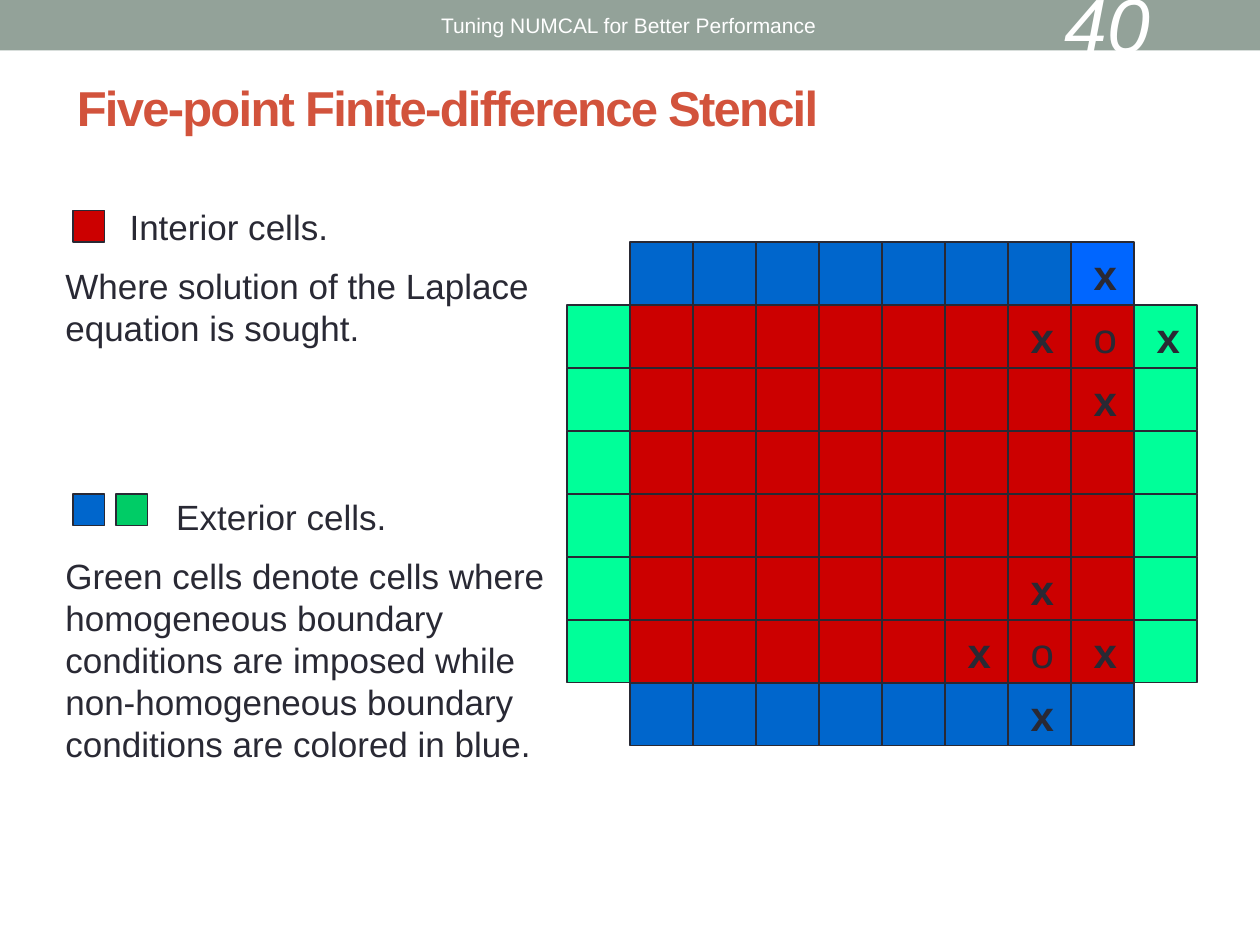
from dataclasses import dataclass

from pptx import Presentation
from pptx.dml.color import RGBColor
from pptx.enum.shapes import MSO_SHAPE
from pptx.enum.text import MSO_ANCHOR, PP_ALIGN
from pptx.util import Inches, Pt

RECT = MSO_SHAPE.RECTANGLE
TOP, MIDDLE = MSO_ANCHOR.TOP, MSO_ANCHOR.MIDDLE
LEFT, CENTER = PP_ALIGN.LEFT, PP_ALIGN.CENTER


@dataclass(frozen=True)
class Theme:
    face: str = "Arial"
    ink: str = "292934"
    white: str = "FFFFFF"
    band: str = "93A299"
    title: str = "D2533C"
    red: str = "CC0000"
    blue: str = "0066CC"
    bright: str = "0066FF"
    mint: str = "00FF99"
    green: str = "00CC66"
    head: int = 28
    page: int = 44
    mark: int = 24
    body: int = 20
    small: int = 12
    edge: float = 0.75


THEME = Theme()

ROWS, COLS = 8, 10
MARKS = {
    (0, 8): "x", (1, 7): "x", (1, 8): "o", (1, 9): "x", (2, 8): "x",
    (5, 7): "x", (6, 6): "x", (6, 7): "o", (6, 8): "x", (7, 7): "x",
}


def style(para, size, color, bold=False, italic=False):
    font = para.font
    font.name, font.size = THEME.face, Pt(size)
    font.bold, font.italic = bold, italic
    font.color.rgb = RGBColor.from_string(color)


def add_rect(slide, left, top, width, height, fill, edge=True):
    rect = slide.shapes.add_shape(
        RECT, Inches(left), Inches(top), Inches(width), Inches(height))
    rect.shadow.inherit = False
    rect.fill.solid()
    rect.fill.fore_color.rgb = RGBColor.from_string(fill)
    if edge:
        rect.line.color.rgb = RGBColor.from_string(THEME.ink)
        rect.line.width = Pt(THEME.edge)
    else:
        rect.line.fill.background()
    return rect


def add_text(slide, left, top, width, height, anchor=TOP):
    box = slide.shapes.add_textbox(
        Inches(left), Inches(top), Inches(width), Inches(height))
    frame = box.text_frame
    frame.word_wrap = True
    frame.vertical_anchor = anchor
    return frame


def add_band(slide, left, top, width, height):
    add_rect(slide, left, top, width, height, THEME.band, edge=False)
    label = add_text(slide, left + 2.74, top + 0.02, 4.5, 0.36, MIDDLE)
    para = label.paragraphs[0]
    para.text = "Tuning NUMCAL for Better Performance"
    para.alignment = CENTER
    style(para, THEME.small, THEME.white)
    page = add_text(slide, left + 8.35, top, 1.17, 0.36, MIDDLE)
    para = page.paragraphs[0]
    para.text = "40"
    style(para, THEME.page, THEME.white, italic=True)


def set_title(slide, left, top, width, height):
    title = slide.shapes.title
    title.left, title.top = Inches(left), Inches(top)
    title.width, title.height = Inches(width), Inches(height)
    frame = title.text_frame
    frame.vertical_anchor = MIDDLE
    para = frame.paragraphs[0]
    para.alignment = LEFT
    run = para.add_run()
    run.text = "Five-point Finite-difference Stencil"
    run.font._element.set("spc", "-100")
    style(para, THEME.head, THEME.title, bold=True)


def add_note(slide, left, top, width, height, keys, drop, indent, lines):
    frame = add_text(slide, left, top, width, height)
    for i, line in enumerate(lines):
        para = frame.paragraphs[0] if i == 0 else frame.add_paragraph()
        para.text = line
        para.line_spacing = Pt(24)
        if i == 0:
            para._p.get_or_add_pPr().set("indent", str(Inches(indent)))
        else:
            para.space_before = Pt(10)
        style(para, THEME.body, THEME.ink)
    for i, color in enumerate(keys):
        add_rect(slide, left + 0.16 + i * 0.34, top + drop, 0.25, 0.25, color)


def cell_color(row, col):
    if (row, col) == (0, COLS - 2):
        return THEME.bright
    if row in (0, ROWS - 1):
        return THEME.blue
    return THEME.mint if col in (0, COLS - 1) else THEME.red


def add_grid(slide, left, top, size):
    for row in range(ROWS):
        for col in range(COLS):
            if row in (0, ROWS - 1) and col in (0, COLS - 1):
                continue
            cell = add_rect(slide, left + col * size, top + row * size,
                            size, size, cell_color(row, col))
            if (row, col) in MARKS:
                add_mark(cell, MARKS[row, col])


def add_mark(cell, mark):
    frame = cell.text_frame
    frame.word_wrap = False
    frame.vertical_anchor = TOP
    frame.margin_left, frame.margin_right = Inches(0.18), 0
    frame.margin_top, frame.margin_bottom = Inches(0.05), 0
    para = frame.paragraphs[0]
    para.text = mark
    para.alignment = LEFT
    style(para, THEME.mark, THEME.ink, bold=mark == "x")


def main():
    deck = Presentation()
    deck.slide_width, deck.slide_height = Inches(10), Inches(7.5)
    slide = deck.slides.add_slide(deck.slide_layouts[5])
    add_band(slide, 0, 0, 10, 0.4)
    set_title(slide, 0.51, 0.44, 8.53, 0.81)
    add_note(slide, 0.42, 1.58, 3.92, 1.28, [THEME.red], 0.09, 0.51, [
        "Interior cells.",
        "Where solution of the Laplace equation is sought."])
    add_note(slide, 0.42, 3.88, 4.08, 2.29, [THEME.blue, THEME.green],
             0.04, 0.88, [
        "Exterior cells.",
        "Green cells denote cells where homogeneous boundary conditions are "
        "imposed while non-homogeneous boundary conditions are colored in "
        "blue."])
    add_grid(slide, 4.5, 1.92, 0.5)
    deck.save("out.pptx")


if __name__ == "__main__":
    main()
